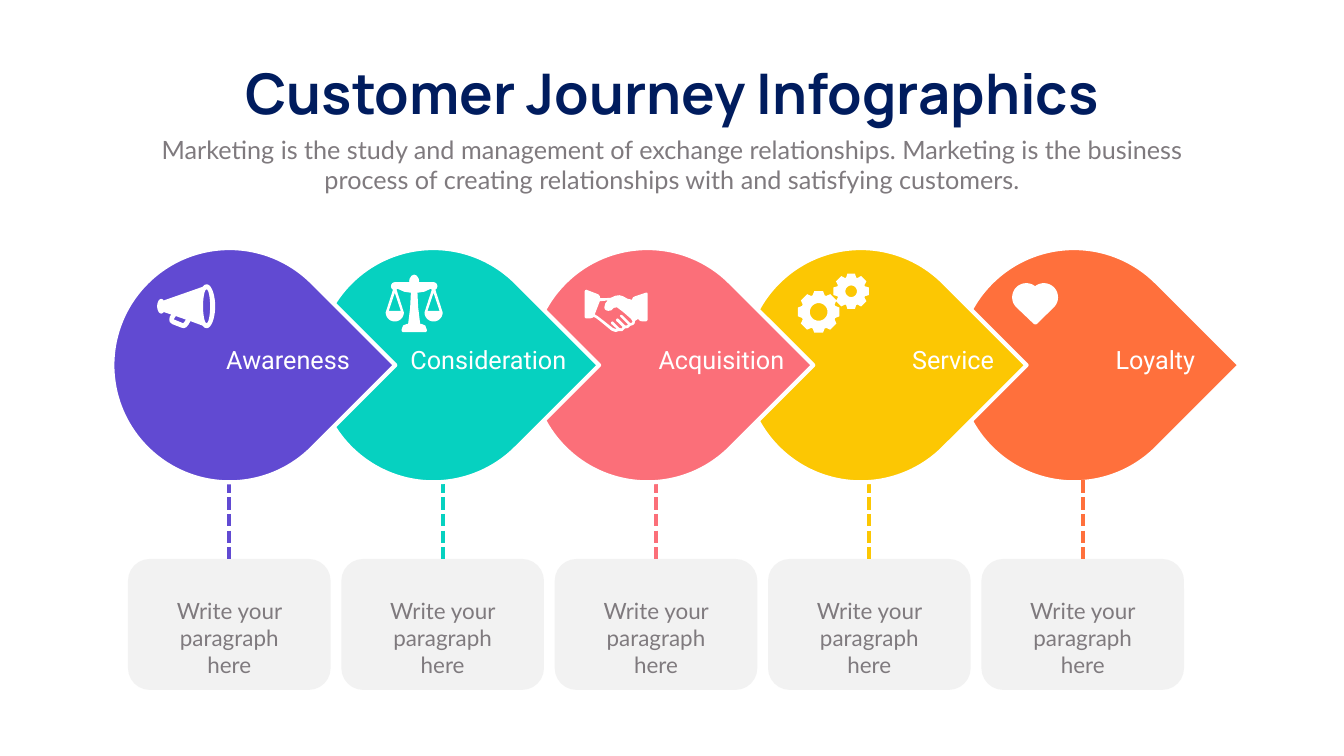
from math import cos, radians, sin

from lxml.etree import SubElement
from pptx import Presentation
from pptx.dml.color import RGBColor
from pptx.enum.dml import MSO_LINE
from pptx.enum.shapes import MSO_CONNECTOR, MSO_SHAPE as SHAPE
from pptx.enum.text import MSO_AUTO_SIZE, PP_ALIGN as ALIGN
from pptx.oxml.ns import qn
from pptx.util import Cm, Pt

WHITE, NAVY, GREY, PALE = "FFFFFF", "001C5E", "7F7A7E", "F2F2F2"
ICON_UNIT = Cm(2.54) / 1000  # icon points are hundredths of an inch, kept to a tenth

TITLE = {"name": "Manrope", "size": Pt(80), "bold": True}
SUBTITLE = {"name": "Lato", "size": Pt(36)}
STAGE = {"name": "Roboto", "size": Pt(36)}
NOTE = {"name": "Lato", "size": Pt(32)}

# label, colour, drop left, label left, label width, label alignment
STAGES = [
    ("Awareness", "614AD2", 5.66, 9.6, 8.28, ALIGN.RIGHT),
    ("Consideration", "06D1C0", 15.93, 20.04, 9.14, ALIGN.CENTER),
    ("Acquisition", "FB6F79", 26.72, 31.78, 9.14, ALIGN.CENTER),
    ("Service", "FCC703", 37.47, 41.2, 9.14, ALIGN.RIGHT),
    ("Loyalty", "FF703C", 48.21, 51.33, 9.14, ALIGN.RIGHT),
]
DROP_TOP, DROP_SIZE = 12.5, 11.81
CARD_LEFT, CARD_TOP, CARD_WIDTH, CARD_HEIGHT, CARD_STEP = 6.45, 28.17, 10.21, 6.6, 10.75
NOTE_INSET = 1.12


def rgb(color):
    return RGBColor.from_string(color)


def set_all(target, values):
    for key, value in values.items():
        setattr(target, key, value)


def paint(shape, fill, outline=None):
    shape.shadow.inherit = False
    shape.fill.solid()
    shape.fill.fore_color.rgb = rgb(fill)
    if outline:
        shape.line.color.rgb = rgb(outline)
        shape.line.width = Pt(6)
    else:
        shape.line.fill.background()


def add_text(slide, box, text, font, color, align=ALIGN.CENTER, wrap=True):
    frame = slide.shapes.add_textbox(*map(Cm, box)).text_frame
    set_all(frame, {"word_wrap": wrap, "auto_size": MSO_AUTO_SIZE.SHAPE_TO_FIT_TEXT})
    paragraph = frame.paragraphs[0]
    paragraph.alignment = align
    run = paragraph.add_run()
    run.text = text
    set_all(run.font, font)
    run.font.color.rgb = rgb(color)


def add_drop(slide, left, color):
    drop = slide.shapes.add_shape(
        SHAPE.TEAR, Cm(left), Cm(DROP_TOP), Cm(DROP_SIZE), Cm(DROP_SIZE))
    drop.rotation = 45
    paint(drop, color, WHITE)


def add_card(slide, left):
    card = slide.shapes.add_shape(
        SHAPE.ROUNDED_RECTANGLE, Cm(left), Cm(CARD_TOP), Cm(CARD_WIDTH), Cm(CARD_HEIGHT))
    paint(card, PALE)
    return card


def add_stem(slide, card, color):
    """Dashed line from inside a drop down to the top of its card."""
    x = card.left + card.width // 2
    stem = slide.shapes.add_connector(MSO_CONNECTOR.STRAIGHT, x, Cm(15.72), x, card.top)
    stem.end_connect(card, 0)
    stem.line.color.rgb = rgb(color)
    set_all(stem.line, {"width": Pt(6), "dash_style": MSO_LINE.SQUARE_DOT})
    SubElement(stem._element.spPr, qn("a:effectLst"))


def add_icon(slide, left, top, contours):
    """One white outline; contours inside another become holes."""
    builder = None
    for contour in contours:
        points = [(x * 10, y * 10) for x, y in contour]
        if builder is None:
            builder = slide.shapes.build_freeform(*points[0], scale=ICON_UNIT)
        else:
            builder.move_to(*points[0])
        builder.add_line_segments(points[1:], close=True)
    paint(builder.convert_to_shape(Cm(left), Cm(top)), WHITE)


def arc(cx, cy, rx, ry, start=0, end=360, steps=32):
    angles = [radians(start + (end - start) * i / steps) for i in range(steps + 1)]
    return [(cx + rx * cos(a), cy + ry * sin(a)) for a in angles]


def megaphone():
    body = (arc(98, 43.5, 17, 43.5, -90, 90)
            + [(94, 86), (90, 82), (66, 73), (62, 80), (58, 85), (53, 87), (48, 86),
               (30, 79), (25, 75), (24, 70), (25, 64), (28, 60), (13, 55)]
            + arc(8, 43.5, 8, 14.5, 50, 310)
            + [(13, 32), (90, 5), (94, 1)])
    handle = [(53, 76), (51, 77), (34, 70), (33, 69), (37, 63), (57, 70)]
    return [body, handle, arc(98, 43.5, 7, 33.5)]


def scales():
    """Built around x = 0, the right half mirrored to the left."""
    half = ([(0, 0), (5, 2), (9, 8), (10, 13), (9, 15)]
            + arc(38, 23, 8, 8, -90, 60, 10)
            + arc(38.5, 75, 18, 18, 0, 180)
            + [(35, 30), (33, 28), (20, 34), (6.5, 36), (8, 66), (12, 98), (15, 98),
               (22, 101), (25, 109), (25, 112), (23, 114)])
    opening = [(26.5, 72), (38.5, 36), (50.5, 72)]

    def mirror(points):
        return [(-x, y) for x, y in reversed(points)]

    return [half + mirror(half), opening, mirror(opening)]


def handshake():
    hands = [
        (124, 6), (121, 6), (100, 13), (96, 15), (94, 19), (94, 20), (85, 18), (76, 13),
        (69, 11), (61, 12), (52, 16), (39, 17), (31, 17), (30, 13), (28, 10), (24, 8),
        (3, 0), (1, 1), (0, 3), (0, 55), (2, 57), (10, 57), (15, 56), (18, 54), (22, 56),
        (30, 62), (53, 81), (58, 83), (62, 84), (68, 82), (75, 82), (80, 77), (86, 76),
        (90, 72), (96, 70), (99, 67), (100, 62), (106, 58), (110, 62), (115, 63),
        (122, 63), (125, 60), (125, 8)]
    palms = [
        (93, 66), (90, 66), (75, 51), (73, 50), (71, 50), (70, 52), (71, 54), (86, 69),
        (84, 71), (80, 71), (67, 58), (65, 57), (63, 58), (62, 60), (63, 62), (75, 74),
        (73, 77), (69, 76), (57, 64), (55, 63), (53, 64), (52, 66), (53, 68), (64, 78),
        (62, 78), (56, 76), (33, 58), (25, 52), (20, 49), (30, 23), (40, 22), (46, 21),
        (41, 27), (39, 35), (40, 39), (43, 41), (47, 42), (53, 41), (58, 36), (64, 35),
        (76, 44), (91, 57), (94, 61), (95, 64)]
    return [hands, palms]


def gear(cx, cy, tip, root, hole, teeth=8):
    profile = [(-20, root), (-12, tip), (12, tip), (20, root)]
    rim = [(cx + r * cos(radians(turn)), cy + r * sin(radians(turn)))
           for tooth in range(teeth)
           for turn, r in ((tooth * 360 / teeth + a, r) for a, r in profile)]
    return [rim, arc(cx, cy, hole, hole)]


def gears():
    return gear(41, 76, 42, 35, 17.5) + gear(105.5, 35, 36, 29, 11.5)


def heart():
    return [arc(28, 28, 28, 28, 135, 310) + arc(63, 28, 28, 28, 230, 405)
            + [(49, 81), (46, 82), (43, 81)]]


def main():
    deck = Presentation()
    set_all(deck, {"slide_width": Cm(67.72), "slide_height": Cm(38.1)})
    slide = deck.slides.add_slide(deck.slide_layouts[6])

    add_drop(slide, STAGES[-1][2], STAGES[-1][1])
    card_lefts = [CARD_LEFT + CARD_STEP * i for i in range(len(STAGES))]
    for left, stage in zip(card_lefts, STAGES):
        add_stem(slide, add_card(slide, left), stage[1])
    for _, color, left, *_ in reversed(STAGES[:-1]):
        add_drop(slide, left, color)

    add_text(slide, (10.29, 2.84, 47.17, 3.68), "Customer Journey Infographics",
             TITLE, NAVY, wrap=False)
    add_text(slide, (7.42, 6.63, 52.88, 3.33),
             "Marketing is the study and management of exchange relationships. Marketing is "
             "the business process of creating relationships with and satisfying customers.",
             SUBTITLE, GREY)
    for card_left, (label, _, _, left, width, align) in zip(card_lefts, STAGES):
        add_text(slide, (left, 17.25, width, 1.8), label, STAGE, WHITE, align)
        add_text(slide, (card_left + NOTE_INSET, 29.97, CARD_WIDTH - 2 * NOTE_INSET, 3),
                 "Write your paragraph here", NOTE, GREY)

    add_icon(slide, 7.92, 14.33, megaphone())
    add_icon(slide, 20.87, 13.84, scales())
    add_icon(slide, 29.46, 14.6, handshake())
    add_icon(slide, 40.21, 13.79, gears())
    add_icon(slide, 51, 14.27, heart())
    deck.save("out.pptx")


if __name__ == "__main__":
    main()
